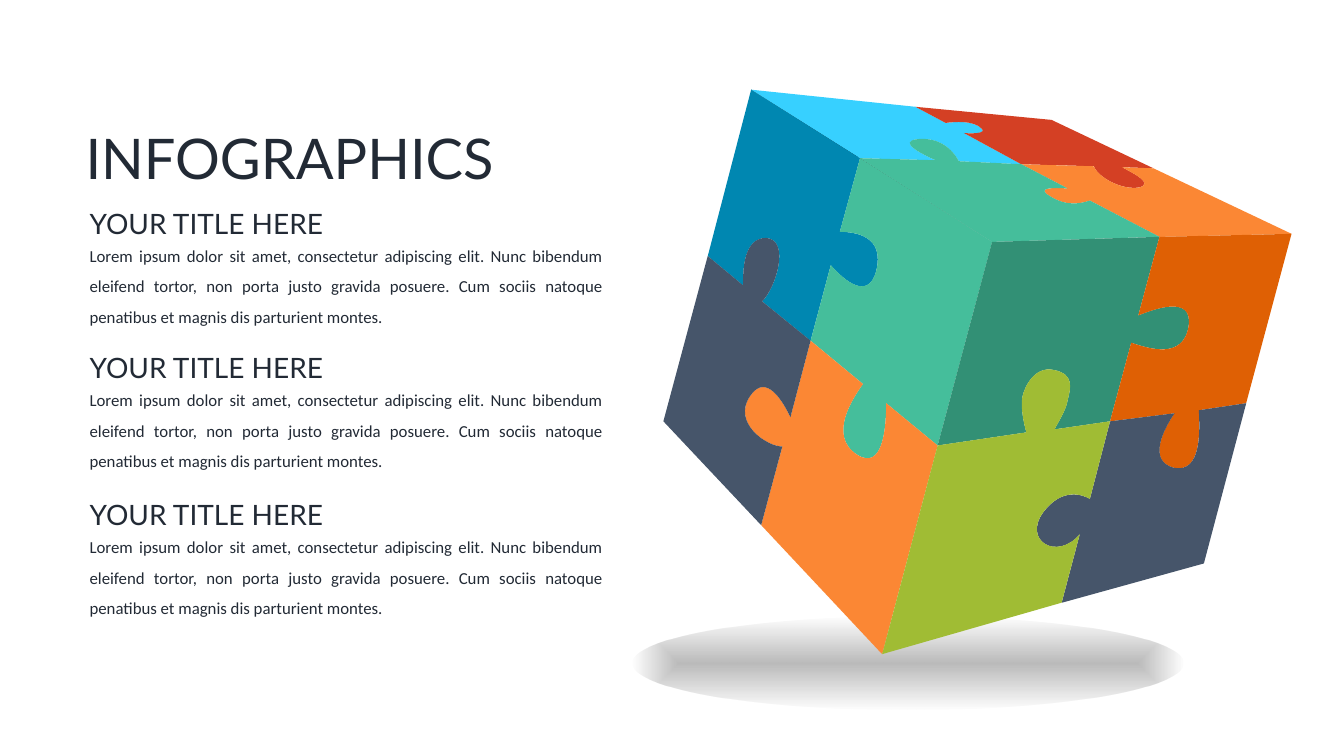
from itertools import chain

from lxml import etree
from pptx import Presentation
from pptx import util as u
from pptx.dml.color import RGBColor
from pptx.enum import shapes, text
from pptx.oxml import ns

# Grid of one-inch cells
COLS, ROWS = 13.33, 7.5
BLOCK_TOPS = (2, 3.43, 4.89)
INK = "222A35"
LOREM = ("Lorem ipsum dolor sit amet, consectetur adipiscing elit. Nunc bibendum "
         "eleifend tortor, non porta justo gravida posuere. Cum sociis natoque "
         "penatibus et magnis dis parturient montes.")

# Cube corners
BACK_LEFT, BACK_RIGHT = (7.45, 0.89), (10.43, 1.19)
FRONT, RIGHT = (9.84, 2.4), (12.81, 2.32)
LOW_LEFT, LOW_FRONT, LOW_RIGHT = (6.58, 4.18), (8.75, 6.49), (11.94, 5.59)

# Points where the seams meet the cube edges
MID_BACK, MID_TOP_RIGHT = (9.08, 1.06), (11.44, 1.67)
MID_TOP_LEFT, MID_TOP_FRONT = (8.53, 1.57), (11.5, 2.35)
MID_LEFT, MID_FRONT, MID_RIGHT = (7.02, 2.54), (9.3, 4.42), (12.36, 4)
MID_LOW_LEFT, MID_LOW_RIGHT = (7.55, 5.21), (10.53, 5.98)

# Each face goes round its corners. A side is a corner, the edge point after it,
# the knob on the seam from there to the centre (a chain of cubic curves),
# and the colour of the piece at that corner.
TOP = ((10.13, 1.63), [
    (BACK_LEFT, MID_BACK,
     [(9.38, 1.22), (9.46, 1.21), (9.66, 1.19), (9.74, 1.28),
      (9.78, 1.32), (9.66, 1.33), (9.56, 1.32)], "37D0FF"),
    (BACK_RIGHT, MID_TOP_RIGHT,
     [(11.13, 1.66), (11.26, 1.73), (11.44, 1.82), (11.3, 1.86),
      (11.13, 1.89), (10.89, 1.76), (10.85, 1.65)], "D44024"),
    (RIGHT, MID_TOP_FRONT,
     [(10.81, 1.99), (10.72, 2.02), (10.58, 2.05), (10.42, 1.95),
      (10.26, 1.86), (10.45, 1.86), (10.59, 1.87)], "FB8734"),
    (FRONT, MID_TOP_LEFT,
     [(9.28, 1.59), (9.14, 1.53), (8.89, 1.4), (9.11, 1.38),
      (9.35, 1.36), (9.47, 1.52), (9.51, 1.6)], "45BE9B"),
])
LEFT_SIDE = ((8.04, 3.38), [
    (BACK_LEFT, MID_TOP_LEFT,
     [(8.33, 2.3), (8.48, 2.3), (8.78, 2.34), (8.69, 2.69),
      (8.61, 2.98), (8.38, 2.79), (8.24, 2.63)], "0087B1"),
    (FRONT, MID_FRONT,
     [(8.79, 4), (8.79, 4.27), (8.75, 4.67), (8.5, 4.51),
      (8.21, 4.32), (8.46, 3.95), (8.56, 3.81)], "45BE9B"),
    (LOW_FRONT, MID_LOW_LEFT,
     [(7.76, 4.43), (7.6, 4.43), (7.26, 4.19), (7.44, 3.93),
      (7.6, 3.69), (7.77, 3.99), (7.84, 4.14)], "FB8734"),
    (LOW_LEFT, MID_LEFT,
     [(7.37, 2.83), (7.37, 2.69), (7.37, 2.36), (7.6, 2.36),
      (7.84, 2.38), (7.7, 2.85), (7.56, 2.99)], "46556A"),
])
RIGHT_SIDE = ((11.01, 4.18), [
    (FRONT, MID_TOP_FRONT,
     [(11.29, 3.13), (11.46, 3.06), (11.83, 2.93), (11.79, 3.23),
      (11.74, 3.57), (11.4, 3.46), (11.22, 3.4)], "329075"),
    (RIGHT, MID_RIGHT,
     [(11.89, 4.07), (11.9, 4.27), (11.92, 4.7), (11.64, 4.64),
      (11.38, 4.57), (11.54, 4.26), (11.65, 4.1)], "DF6004"),
    (LOW_RIGHT, MID_LOW_RIGHT,
     [(10.71, 5.3), (10.48, 5.57), (10.14, 5.36), (10.35, 5.08),
      (10.54, 4.83), (10.74, 4.91), (10.81, 4.95)], "46556A"),
    (LOW_FRONT, MID_FRONT,
     [(10.18, 4.29), (10.16, 4.22), (10.12, 4.05), (10.14, 3.94),
      (10.16, 3.84), (10.26, 3.63), (10.45, 3.67),
      (10.66, 3.71), (10.62, 3.85), (10.59, 3.97),
      (10.58, 4.06), (10.49, 4.2), (10.46, 4.26)], "A0BC34"),
])
# Thin dark creases along the top left edge
CREASES = [[(8.52, 1.56), BACK_LEFT, (8.51, 1.56)],
           [MID_TOP_LEFT, (8.52, 1.57), FRONT],
           [(8.51, 1.56), BACK_LEFT, (8.5, 1.56)]]


def rgb(hex_colour):
    return RGBColor.from_string(hex_colour)


def bend(sp, runs):
    """Turn every three steps after the first point of a run into one curve."""
    outline = sp.element.spPr.find(".//" + ns.qn("a:path"))
    steps = list(outline)
    first = 0
    for run in runs:
        for i in range(first + 1, first + len(run), 3):
            curve = outline.makeelement(ns.qn("a:cubicBezTo"))
            steps[i].addprevious(curve)
            for step in steps[i:i + 3]:
                curve.append(step[0])
                outline.remove(step)
        first += len(run)


def add_outline(parent, runs, colour):
    """Closed outline: a line to the start of each run, then curves along it."""
    start, *rest = [(u.Inches(x), u.Inches(y)) for x, y in chain(*runs)]
    builder = parent.shapes.build_freeform(*start, scale=1.0)
    builder.add_line_segments(rest, close=True)
    sp = builder.convert_to_shape()
    bend(sp, runs)
    sp.shadow.inherit = False
    sp.fill.solid()
    sp.fill.fore_color.rgb = rgb(colour)
    sp.line.fill.background()


def add_face(parent, face):
    centre, sides = face
    for i, (corner, mid, knob, colour) in enumerate(sides):
        _, last_mid, last_knob, _ = sides[i - 1]
        runs = [[corner], [mid], knob, [centre], last_knob[::-1], [last_mid]]
        add_outline(parent, runs, colour)


def add_floor_shadow(parent, left, top, width, height):
    sp = parent.shapes.add_shape(shapes.MSO_SHAPE.OVAL, *map(u.Inches, (left, top, width, height)))
    sp.shadow.inherit = False
    sp.line.fill.background()
    sp.fill.background()
    gradient = etree.fromstring(
        f'<a:gradFill {ns.nsdecls("a")} rotWithShape="1"><a:gsLst>'
        '<a:gs pos="0"><a:srgbClr val="000000"><a:alpha val="27000"/></a:srgbClr></a:gs>'
        '<a:gs pos="100000"><a:srgbClr val="000000"><a:alpha val="0"/></a:srgbClr></a:gs>'
        '</a:gsLst><a:path path="shape">'
        '<a:fillToRect l="50000" t="50000" r="50000" b="50000"/></a:path></a:gradFill>')
    props = sp.element.spPr
    props.replace(props.find(ns.qn("a:noFill")), gradient)


def add_text(s, content, left, top, width, height, size, font="Lato", align=None, spacing=None):
    tf = s.shapes.add_textbox(*map(u.Inches, (left, top, width, height))).text_frame
    tf.word_wrap = True
    tf.auto_size = text.MSO_AUTO_SIZE.SHAPE_TO_FIT_TEXT
    p = tf.paragraphs[0]
    p.alignment = align
    p.line_spacing = spacing
    r = p.add_run()
    r.text = content
    r.font.size = u.Pt(size)
    r.font.name = font
    r.font.color.rgb = rgb(INK)


def main():
    prs = Presentation()
    prs.slide_width, prs.slide_height = u.Inches(COLS), u.Inches(ROWS)
    s = prs.slides.add_slide(prs.slide_layouts[6])

    # Puzzle cube
    cube = s.shapes.add_group_shape()
    add_floor_shadow(cube, 6.27, 6.12, 5.47, 0.92)
    for crease in CREASES:
        add_outline(cube, [[point] for point in crease], "000000")
    for face in (TOP, LEFT_SIDE, RIGHT_SIDE):
        add_face(cube, face)

    # Heading and three text blocks
    add_text(s, "INFOGRAPHICS", 0.75, 1.18, 5.18, 0.77, 40)
    for top in BLOCK_TOPS:
        add_text(s, LOREM, 0.79, top + 0.29, 5.29, 1.01, 12, "Calibri",
                 text.PP_ALIGN.JUSTIFY, 1.5)
        add_text(s, "YOUR TITLE HERE", 0.79, top, 5.29, 0.44, 20)

    prs.save("out.pptx")


if __name__ == "__main__":
    main()
